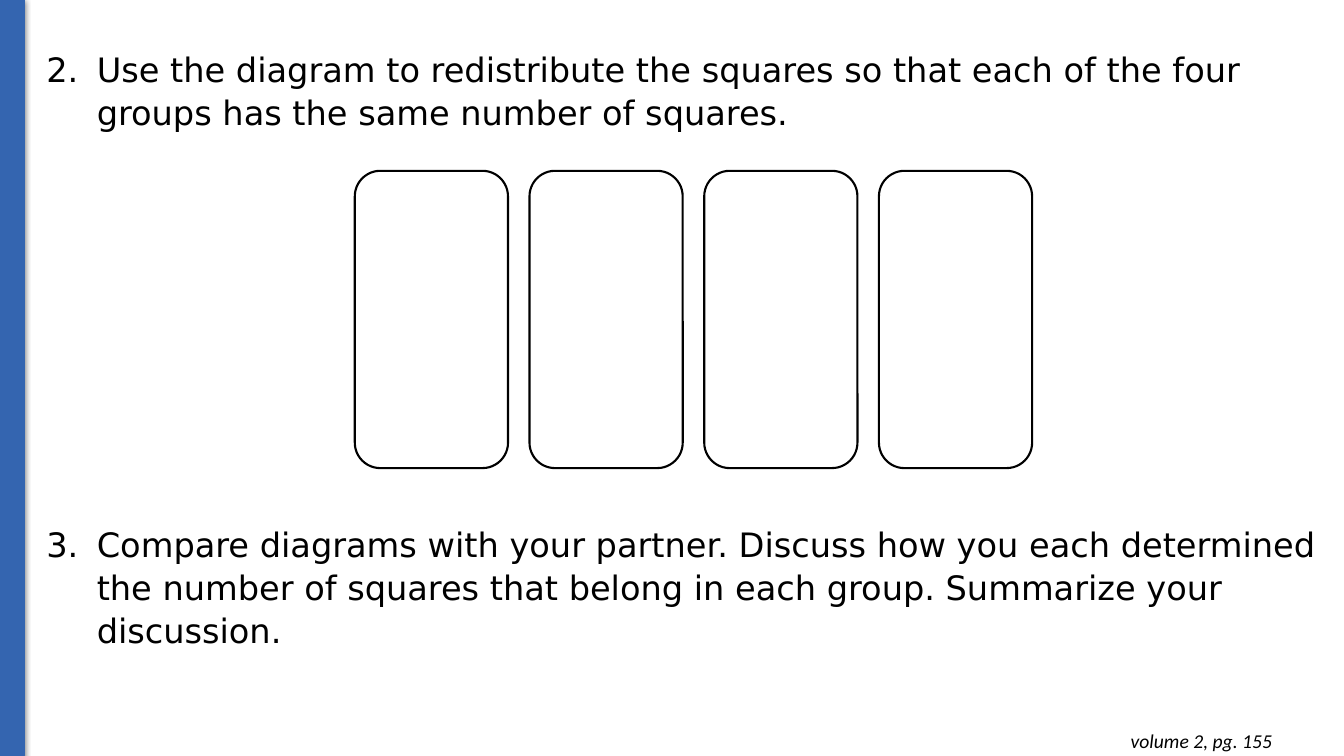
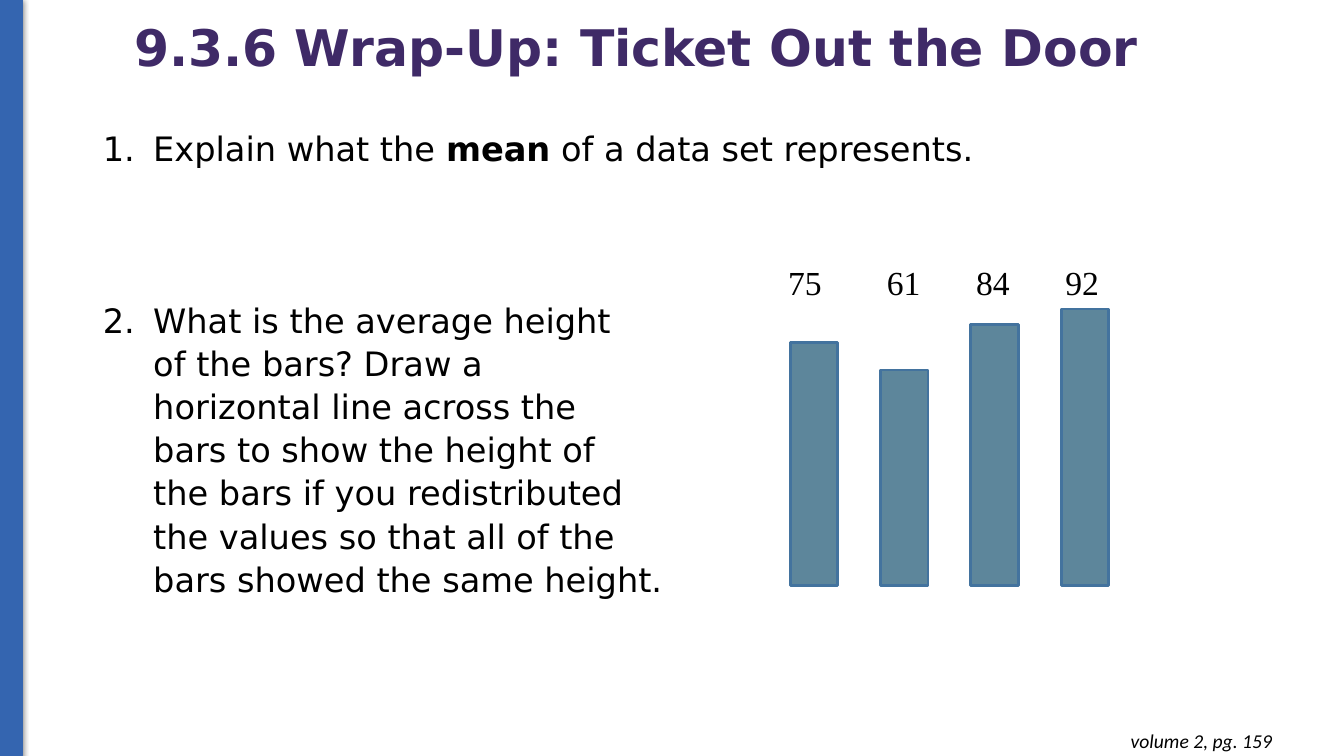
"""Build two lesson slides on redistributing values and the mean."""
from pptx import Presentation
from pptx.dml.color import RGBColor
from pptx.enum.shapes import MSO_SHAPE
from pptx.enum.text import MSO_ANCHOR, MSO_AUTO_SIZE, PP_ALIGN
from pptx.oxml import parse_xml
from pptx.oxml.ns import nsdecls, qn
from pptx.util import Inches, Pt

BLUE, PURPLE, BLACK = "3465B0", "3F2A67", "000000"
TEAL, STEEL = "5D869B", "43739E"
SANS = "DejaVu Sans"

deck = Presentation()
deck.slide_width, deck.slide_height = Inches(13.33), Inches(7.5)


def place(x, y, w, h):
    """Turn percentages of the slide's size into lengths."""
    wide, high = deck.slide_width / 100, deck.slide_height / 100
    return int(x * wide), int(y * high), int(w * wide), int(h * high)


def paint(part, shade):
    """Give a fill, line or font a solid hex colour."""
    if hasattr(part, "solid"):
        part.solid()
        part.fore_color.rgb = RGBColor.from_string(shade)
    else:
        part.color.rgb = RGBColor.from_string(shade)


styles = [
    ("titleStyle", 'algn="l"', 90, 36, 1, PURPLE),
    ("bodyStyle", f'marL="{Inches(0.5)}" indent="{-Inches(0.5)}" algn="l"', 107, 24, 0, BLACK),
]
for name, attrs, space, size, bold, shade in styles:
    style = deck.slide_master.element.find(f"{qn('p:txStyles')}/{qn('p:' + name)}")
    style.replace(style.find(qn("a:lvl1pPr")), parse_xml(
        f'<a:lvl1pPr {nsdecls("a")} {attrs}><a:lnSpc><a:spcPct val="{space * 1000}"/></a:lnSpc>'
        f'<a:spcBef><a:spcPts val="0"/></a:spcBef><a:buNone/>'
        f'<a:defRPr sz="{size * 100}" b="{bold}"><a:solidFill><a:srgbClr val="{shade}"/></a:solidFill>'
        f'<a:latin typeface="{SANS}"/></a:defRPr></a:lvl1pPr>'))

pages = [
    {
        "title": None, "band": 0, "body": (2.7, 5.47, 97.3, 82), "start": 2, "gap": 277.5,
        "items": [
            [("Use the diagram to redistribute the squares so that each of the four "
              "groups has the same number of squares.", False)],
            [("Compare diagrams with your partner. Discuss how you each determined the number "
              "of squares that belong in each group. Summarize your discussion.", False)],
        ],
        "foot": "volume 2, pg. 155",
    },
    {
        "title": "9.3.6 Wrap-Up: Ticket Out the Door",
        "band": -0.15, "body": (6.9, 15.87, 91.73, 64.67), "start": 1, "gap": 92,
        "items": [
            [("Explain what the ", False), ("mean", True), (" of a data set represents.", False)],
            [("What is the average height\nof the bars? Draw a\nhorizontal line across the\n"
              "bars to show the height of\nthe bars if you redistributed\n"
              "the values so that all of the\nbars showed the same height.", False)],
        ],
        "foot": "volume 2, pg. 159",
    },
]

slides = []
for page in pages:
    slide = deck.slides.add_slide(deck.slide_layouts[1])
    slides.append(slide)
    title, body = slide.placeholders

    band = slide.shapes.add_shape(MSO_SHAPE.RECTANGLE, *place(page["band"], -0.1, 1.8, 100.1))
    paint(band.fill, BLUE)
    paint(band.line, BLUE)
    band.line.width = Pt(0.75)
    band._element.spPr.append(parse_xml(
        f'<a:effectLst {nsdecls("a")}><a:outerShdw blurRad="{Pt(4.5)}" dist="{Pt(1.5)}" dir="5400000">'
        f'<a:srgbClr val="{BLACK}"><a:alpha val="50000"/></a:srgbClr></a:outerShdw></a:effectLst>'))

    if page["title"]:
        title.left, title.top, title.width, title.height = place(9.23, 2.27, 90.75, 8.67)
        title.text_frame.text = page["title"]
        title.text_frame.auto_size = MSO_AUTO_SIZE.NONE
        title.text_frame.vertical_anchor = MSO_ANCHOR.MIDDLE
    else:
        title._element.getparent().remove(title._element)

    body.left, body.top, body.width, body.height = place(*page["body"])
    frame = body.text_frame
    frame.auto_size = MSO_AUTO_SIZE.NONE
    for rank, item in enumerate(page["items"]):
        para = frame.add_paragraph() if rank else frame.paragraphs[0]
        if rank:
            para.space_before = Pt(page["gap"])
        props = para._p.get_or_add_pPr()
        props.append(parse_xml(f'<a:buClr {nsdecls("a")}><a:srgbClr val="{BLACK}"/></a:buClr>'))
        props.append(parse_xml(
            f'<a:buAutoNum {nsdecls("a")} type="arabicPeriod" startAt="{page["start"]}"/>'))
        for words, bold in item:
            for row, line in enumerate(words.split("\n")):
                if row:
                    para.add_line_break()
                run = para.add_run()
                run.text = line
                run.font.bold = bold

    foot = slide.shapes.add_textbox(*place(73.8, 95.07, 21.6, 5.87)).text_frame
    foot.word_wrap = True
    for side in ("left", "top", "right", "bottom"):
        setattr(foot, f"margin_{side}", Inches(0.1))
    para = foot.paragraphs[0]
    para.text, para.alignment = page["foot"], PP_ALIGN.RIGHT
    look = {"name": "Calibri", "size": Pt(14), "italic": True}
    for key, value in look.items():
        setattr(para.runs[0].font, key, value)
    paint(para.runs[0].font, BLACK)

first, last = slides
for col in range(4):
    group = first.shapes.add_shape(
        MSO_SHAPE.ROUNDED_RECTANGLE, *place(26.4 + 13 * col, 22.6, 11.4, 39.33))
    group.shadow.inherit = False
    group.fill.background()
    paint(group.line, BLACK)
    group.line.width = Pt(1.5)

values = [75, 61, 84, 92]
for col, value in enumerate(values):
    high = 12.67 + 0.26 * value
    bar = last.shapes.add_shape(
        MSO_SHAPE.RECTANGLE, *place(58.8 + 6.72 * col, 77.47 - high, 3.53, high))
    bar.shadow.inherit = False
    paint(bar.fill, TEAL)
    paint(bar.line, STEEL)
    bar.line.width = Pt(2)

label = last.shapes.add_textbox(*place(57.9, 34, 25.1, 6.67)).text_frame
para = label.paragraphs[0]
stops = "".join(f'<a:tab pos="{Inches(0.98 + 0.885 * col)}" algn="l"/>' for col in range(3))
para._p.get_or_add_pPr().append(parse_xml(f'<a:tabLst {nsdecls("a")}>{stops}</a:tabLst>'))
run = para.add_run()
run.text = "\t".join(str(value) for value in values)
look = {"name": "Times New Roman", "size": Pt(24)}
for key, value in look.items():
    setattr(run.font, key, value)
paint(run.font, BLACK)

deck.save("out.pptx")
